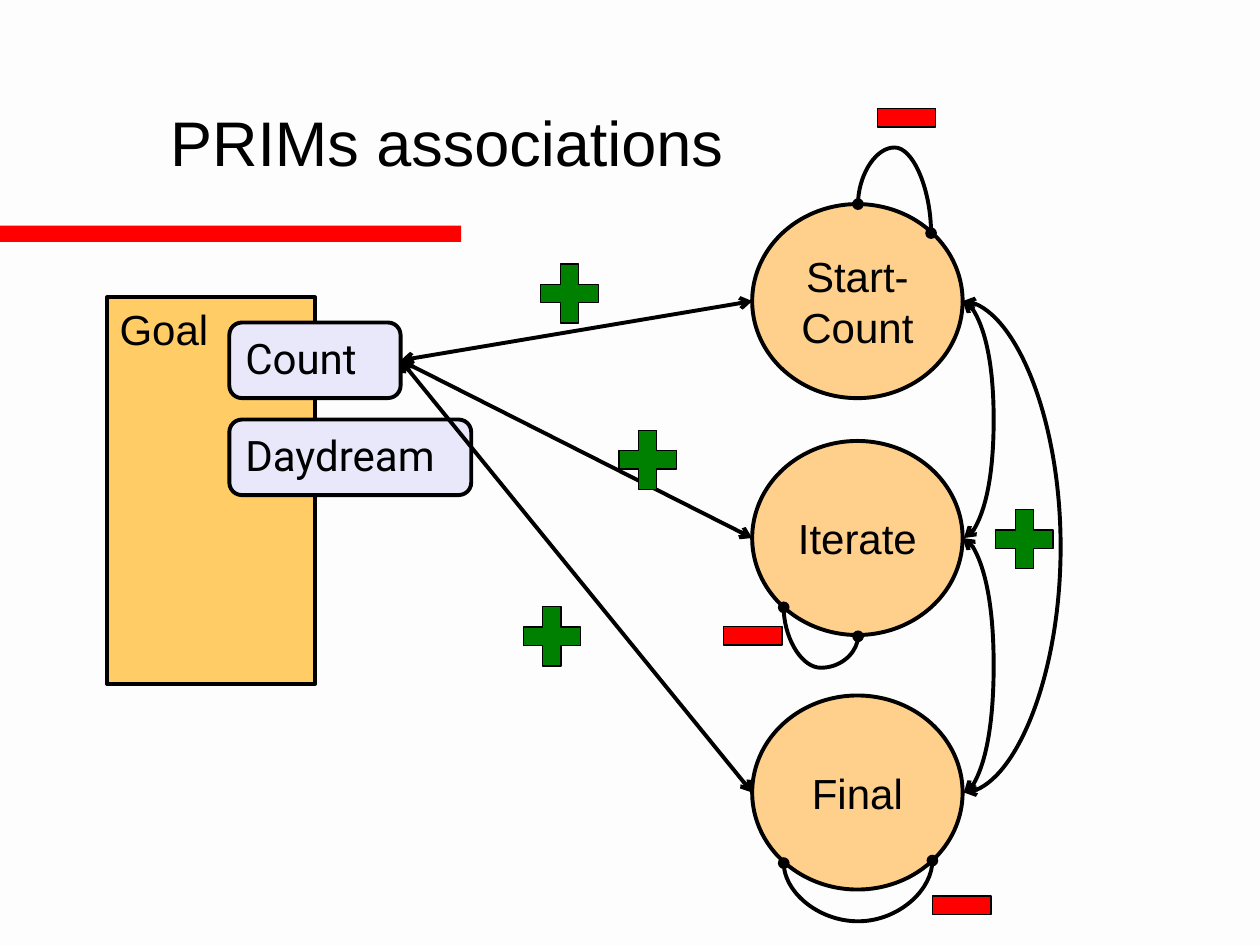
from pptx import Presentation
from pptx.util import Inches, Pt
from pptx.dml.color import RGBColor
from pptx.enum.shapes import MSO_SHAPE as Shape, MSO_CONNECTOR as Link
from pptx.enum.text import MSO_ANCHOR as Anchor, PP_ALIGN as Align
from lxml.etree import SubElement
from pptx.oxml.ns import qn


def paint(fmt, color):
    fmt.solid()
    fmt.fore_color.rgb = RGBColor.from_string(color)


def write(frame, text, size, font, align=Align.LEFT):
    frame.word_wrap = True
    frame.text = text
    para = frame.paragraphs[0]
    para.alignment = align
    para.font.size = Pt(size)
    para.font.name = font
    paint(para.font.fill, "000000")


def add_box(slide, kind, x, y, w, h, fill, width=0):
    box = slide.shapes.add_shape(kind, Inches(x), Inches(y), Inches(w), Inches(h))
    box.shadow.inherit = False
    paint(box.fill, fill)
    if width:
        paint(box.line.fill, "000000")
        box.line.width = Pt(width)
    else:
        box.line.fill.background()
    return box


def add_label(slide, kind, x, y, w, h, fill, text, font):
    box = add_box(slide, kind, x, y, w, h, fill, 2.25)
    oval = kind == Shape.OVAL
    write(box.text_frame, text, 24, font, Align.CENTER if oval else Align.LEFT)
    box.text_frame.vertical_anchor = Anchor.MIDDLE if oval else Anchor.TOP
    return box


def add_line(slide, kind, x1, y1, x2, y2, tip):
    line = slide.shapes.add_connector(kind, Inches(x1), Inches(y1), Inches(x2), Inches(y2))
    paint(line.line.fill, "000000")
    line.line.width = Pt(2.25)
    ln = line.line._get_or_add_ln()
    for end in ("a:headEnd", "a:tailEnd"):
        SubElement(ln, qn(end), type=tip)
    SubElement(line._element.spPr, qn("a:effectLst"))
    return line


def bend(line, ratio):
    geom = line._element.spPr.find(qn("a:prstGeom"))
    guides = geom.find(qn("a:avLst"))
    if guides is None:
        guides = SubElement(geom, qn("a:avLst"))
    SubElement(guides, qn("a:gd"), name="adj1", fmla=f"val {round(ratio * 100000)}")


def add_arc(slide, x, y1, y2, bulge):
    step = 0.01
    line = add_line(slide, Link.CURVE, x, y1, x + step, y2, "arrow")
    bend(line, bulge / step)


def add_loop(slide, x1, y1, x2, y2, peak):
    mid, level = (x1 + x2) / 2, (y1 + y2) / 2
    dx, dy = (x1 - x2) / 2, (y2 - y1) / 2
    line = add_line(slide, Link.CURVE, mid - dy, level - dx, mid + dy, level + dx, "oval")
    line.rotation = 90
    bend(line, (peak - y1) / (y2 - y1))


def add_title(slide, text):
    title = slide.shapes.title
    title.left, title.top = Inches(1.25), Inches(0.5)
    title.width, title.height = Inches(8.5), Inches(1.25)
    write(title.text_frame, text, 36, "Arial")
    title.text_frame.vertical_anchor = Anchor.MIDDLE


def main():
    deck = Presentation()
    deck.slide_width, deck.slide_height = Inches(10), Inches(7.5)
    slide = deck.slides.add_slide(deck.slide_layouts[5])
    paint(slide.background.fill, "FEFDFD")
    add_box(slide, Shape.RECTANGLE, 0, 1.79, 3.66, 0.13, "FF0000")
    add_title(slide, "PRIMs associations")

    add_label(slide, Shape.RECTANGLE, 0.85, 2.36, 1.65, 3.07, "FFCC66", "Goal", "Arial")
    count = add_label(slide, Shape.ROUNDED_RECTANGLE, 1.82, 2.56, 1.36, 0.6,
                      "E8E8FA", "Count", "Roboto")
    add_label(slide, Shape.ROUNDED_RECTANGLE, 1.82, 3.33, 1.92, 0.6,
              "E8E8FA", "Daydream", "Roboto")

    left, wide, high = 5.97, 1.67, 1.54
    tops = {"Start-Count": 1.62, "Iterate": 3.5, "Final": 5.52}
    for text, top in tops.items():
        add_label(slide, Shape.OVAL, left, top, wide, high, "FFD08C", text, "Arial")
    start, mid, final = [top + high / 2 for top in tops.values()]
    for y in (start, mid, final):
        line = add_line(slide, Link.STRAIGHT, 3.18, 2.86, left, y, "arrow")
        line.begin_connect(count, 3)
    for y1, y2, bulge in ((start, mid, 0.25), (start, final, 0.79), (mid, final, 0.25)):
        add_arc(slide, left + wide, y1, y2, bulge)
    add_loop(slide, 7.39, 1.85, 6.81, 1.62, 1.17)
    add_loop(slide, 6.81, 5.05, 6.22, 4.82, 5.3)
    add_loop(slide, 7.4, 6.83, 6.22, 6.85, 7.31)

    for x, y in ((4.21, 2.01), (4.83, 3.33), (4.07, 4.73), (7.82, 3.96)):
        add_box(slide, Shape.MATH_PLUS, x, y, 0.62, 0.64, "008000", 0.75)
    for x, y in ((6.88, 0.62), (5.66, 4.73), (7.32, 6.87)):
        add_box(slide, Shape.MATH_MINUS, x, y, 0.63, 0.63, "FF0000", 0.75)
    deck.save("out.pptx")


if __name__ == "__main__":
    main()
